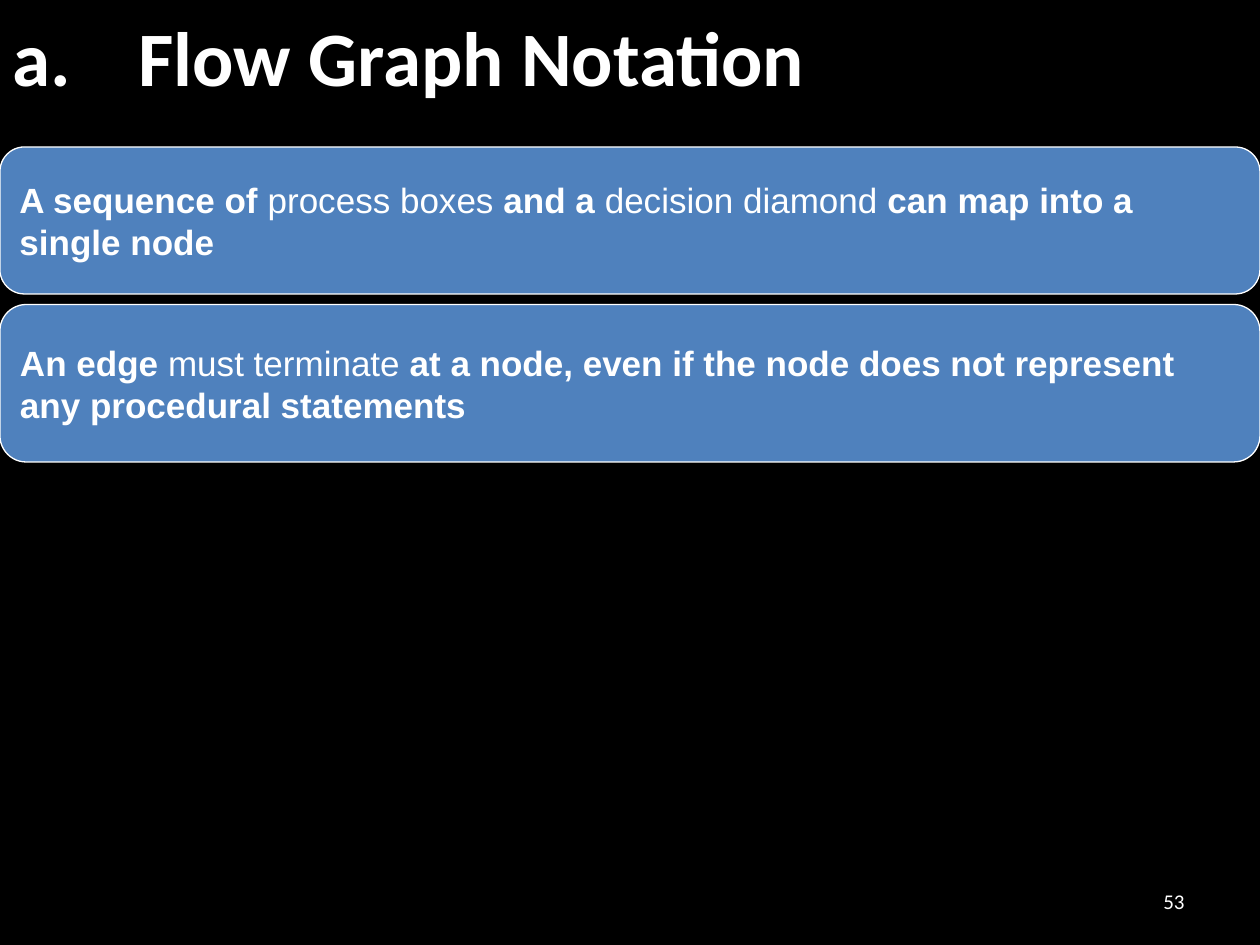
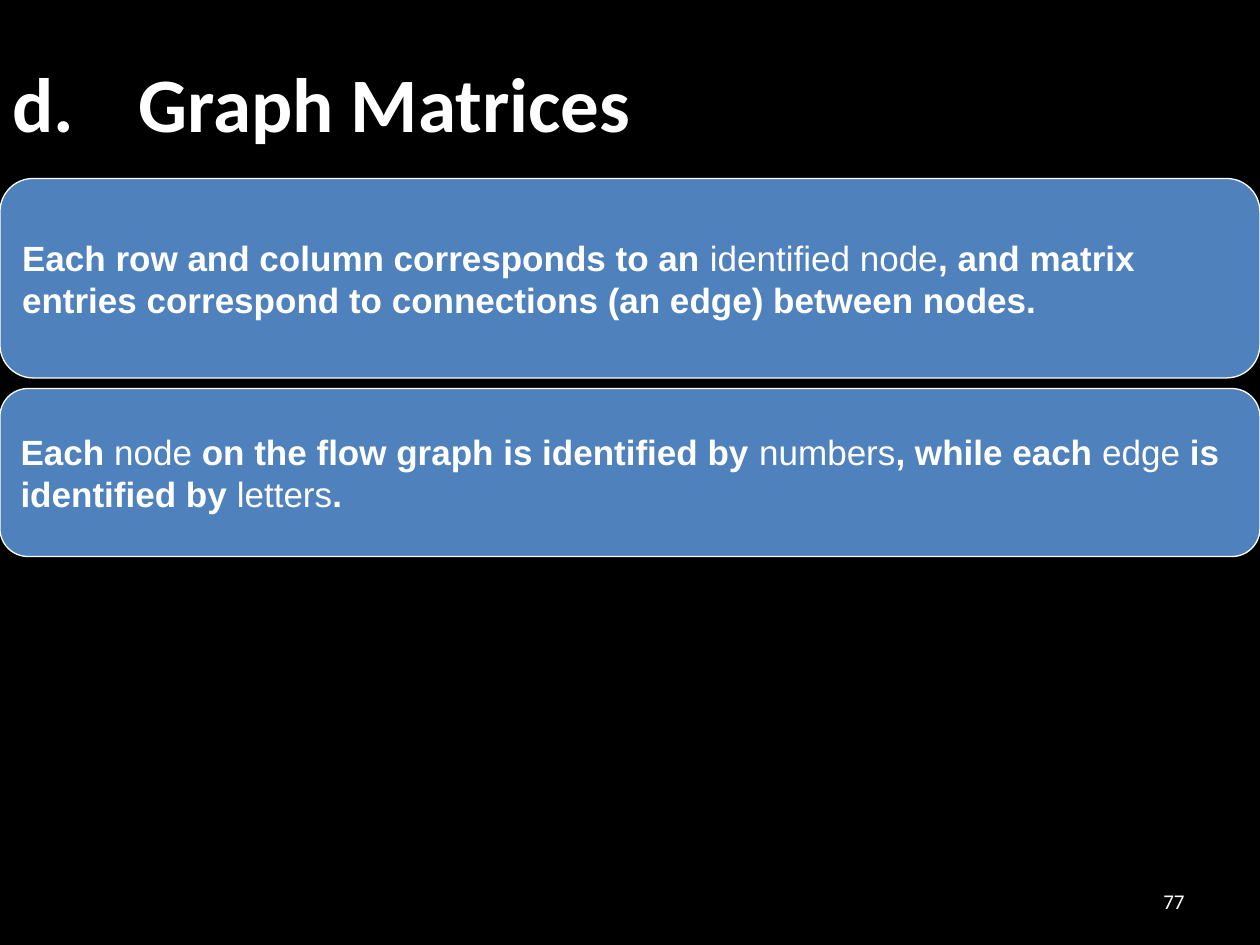
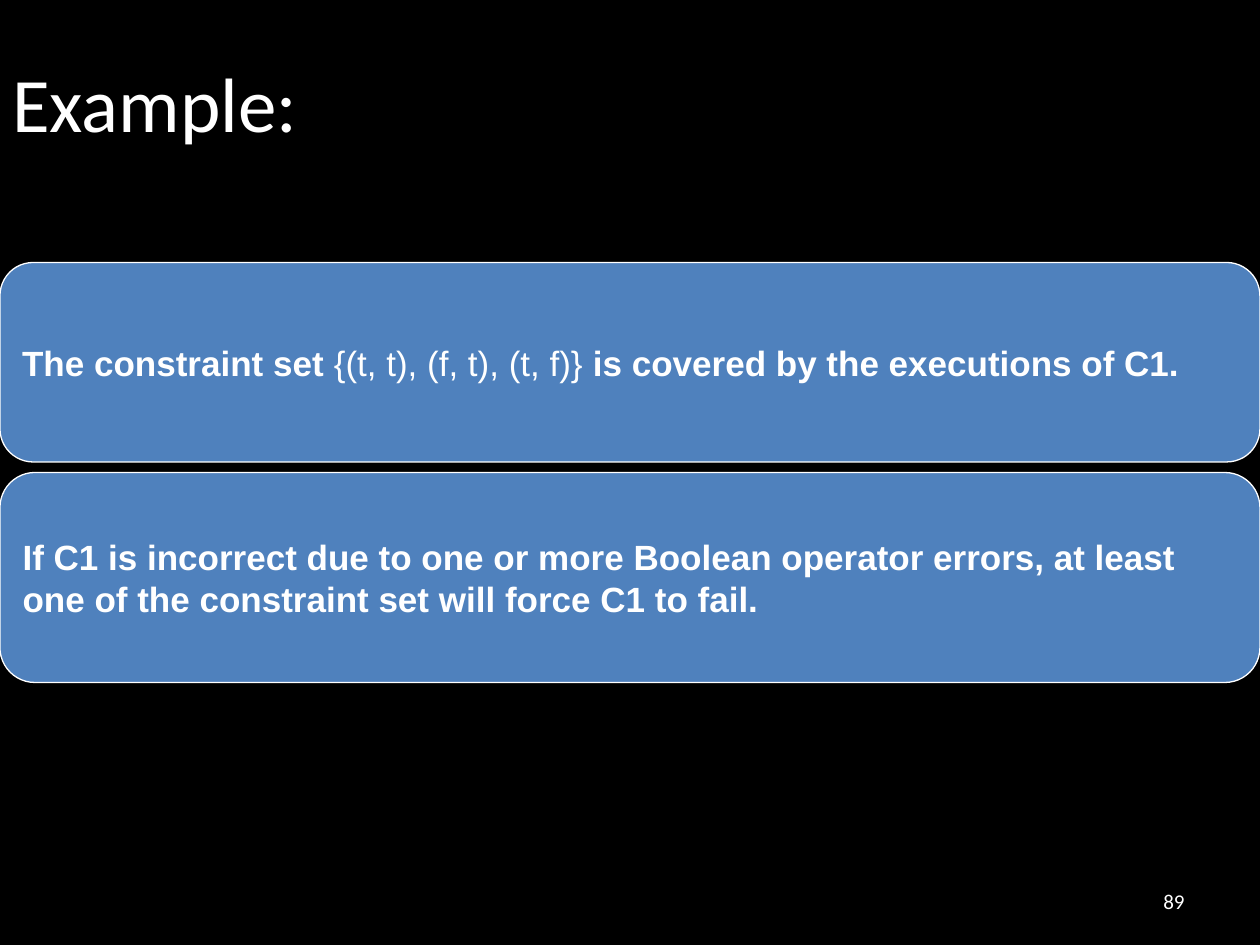
"""Builds three slides on flow graphs, each a title over two stacked statement cards."""
from lxml import etree
from pptx import Presentation
from pptx.dml.color import RGBColor
from pptx.enum.shapes import MSO_SHAPE
from pptx.enum.text import MSO_ANCHOR, PP_ALIGN
from pptx.oxml.ns import qn
from pptx.util import Inches, Pt

ROUNDED = MSO_SHAPE.ROUNDED_RECTANGLE
MIDDLE = MSO_ANCHOR.MIDDLE
LEFT, RIGHT = PP_ALIGN.LEFT, PP_ALIGN.RIGHT

WIDTH, HEIGHT = 10, 7.5
ROW = 1 / 12
BLACK, WHITE, BLUE = "000000", "FFFFFF", "4F81BD"
TITLE_AREA = (0, 0, 8.5, 1.61)
NUMBER_AREA = (7.17, 6.95, 2.33, 0.4)
TITLE_LINE = 0.73

# Card heights and tops count rows; "|" switches between bold and regular text.
SLIDES = [
    {
        "title": "a.\tFlow Graph Notation", "bold": True, "lines_below": 1,
        "number": "53", "top": 14,
        "cards": [
            (14, "A sequence of |process boxes| and a |decision diamond"
                 "| can map into a single node"),
            (15, "An edge |must terminate| at a node, even if the node does not"
                 " represent any procedural statements"),
        ],
    },
    {
        "title": "d.\tGraph Matrices", "bold": True, "lines_below": 0,
        "number": "77", "top": 17,
        "cards": [
            (19, "Each row and column corresponds to an |identified node"
                 "|, and matrix entries correspond to connections (an edge)"
                 " between nodes."),
            (16, "Each |node| on the flow graph is identified by |numbers"
                 "|, while each |edge| is identified by |letters|."),
        ],
    },
    {
        "title": "Example:", "bold": False, "lines_below": 0,
        "number": "89", "top": 25,
        "cards": [
            (19, "The constraint set |{(t, t), (f, t), (t, f)}"
                 "| is covered by the executions of C1."),
            (20, "If C1 is incorrect due to one or more Boolean operator errors,"
                 " at least one of the constraint set will force C1 to fail."),
        ],
    },
]


def paint(fill, color):
    fill.solid()
    fill.fore_color.rgb = RGBColor.from_string(color)


def write(box, text, *, size, font, bold=False, align=LEFT, tab=None, below=0):
    frame = box.text_frame
    frame.word_wrap = True
    frame.vertical_anchor = MIDDLE
    frame.margin_bottom = Inches(0.05 + below)
    para = frame.paragraphs[0]
    para.alignment = align
    if tab:
        tabs = etree.SubElement(para._p.get_or_add_pPr(), qn("a:tabLst"))
        etree.SubElement(tabs, qn("a:tab"), pos=str(Inches(tab)), algn="l")
    for index, part in enumerate(text.split("|")):
        span = para.add_run()
        span.text = part
        span.font.size = Pt(size)
        span.font.name = font
        span.font.bold = bold and index % 2 == 0
        span.font.color.rgb = RGBColor.from_string(WHITE)


def add_text(page, area, text, **style):
    box = page.shapes.add_textbox(*map(Inches, area))
    write(box, text, **style)


def add_card(page, top, height, text):
    area = (0, top * ROW, WIDTH, height * ROW)
    card = page.shapes.add_shape(ROUNDED, *map(Inches, area))
    card.shadow.inherit = False
    paint(card.fill, BLUE)
    paint(card.line.fill, WHITE)
    card.line.width = Pt(0.75)
    write(card, text, size=20, font="Arial", bold=True)


def add_page(deck, content):
    page = deck.slides.add_slide(deck.slide_layouts[6])
    paint(page.background.fill, BLACK)
    add_text(page, TITLE_AREA, content["title"], size=44, font="Calibri",
             bold=content["bold"], tab=1,
             below=content["lines_below"] * TITLE_LINE)
    add_text(page, NUMBER_AREA, content["number"], size=12, font="Calibri",
             align=RIGHT)
    top = content["top"]
    for height, text in content["cards"]:
        add_card(page, top, height, text)
        top += height + 1


def main():
    deck = Presentation()
    deck.slide_width, deck.slide_height = Inches(WIDTH), Inches(HEIGHT)
    for content in SLIDES:
        add_page(deck, content)
    deck.save("out.pptx")


if __name__ == "__main__":
    main()
